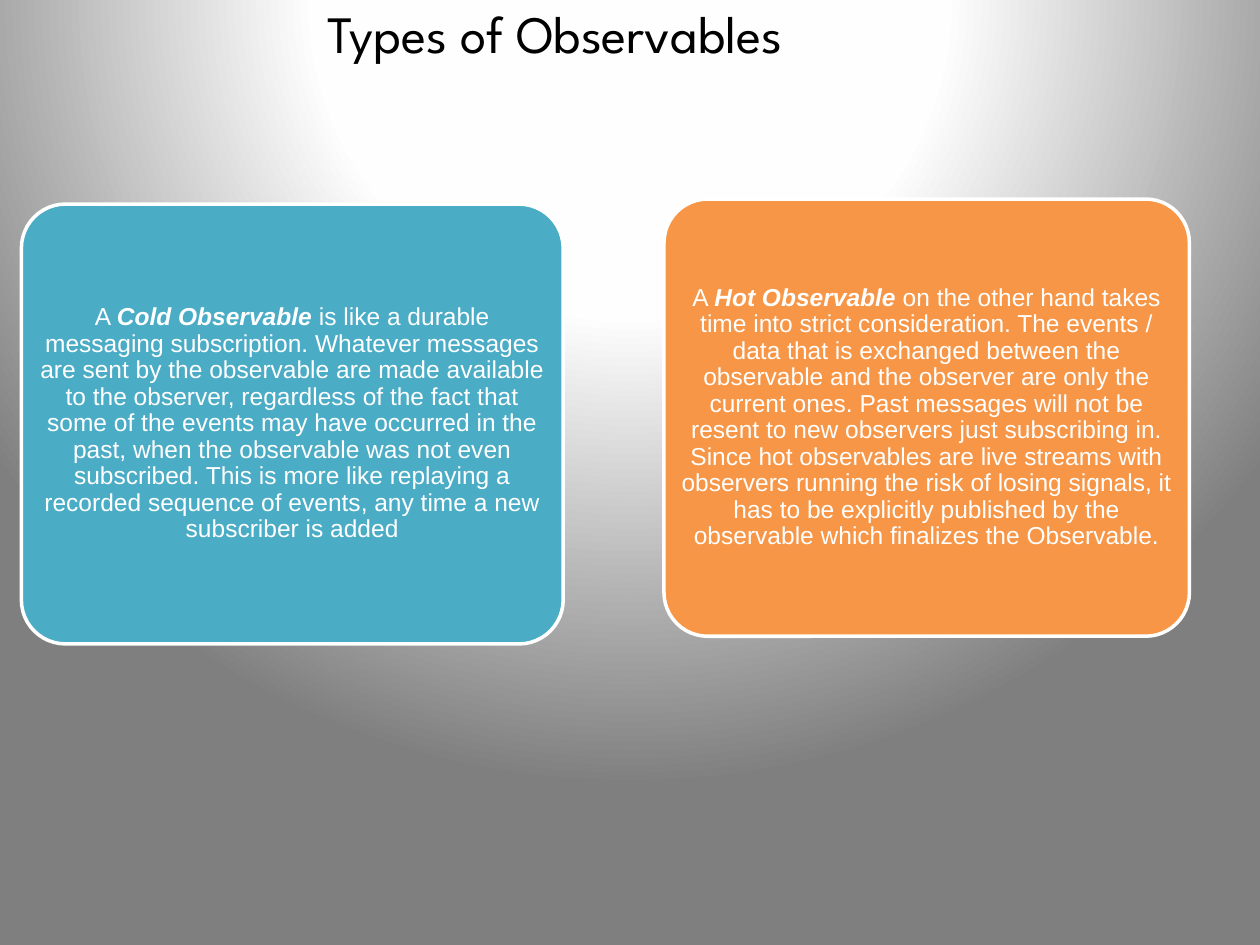
from pptx import Presentation
from pptx.dml.color import RGBColor
from pptx.enum.shapes import MSO_SHAPE
from pptx.enum.text import MSO_ANCHOR, PP_ALIGN
from pptx.oxml import parse_xml
from pptx.oxml.ns import nsdecls, qn
from pptx.util import Inches, Pt

ROUNDED = MSO_SHAPE.ROUNDED_RECTANGLE
MIDDLE = MSO_ANCHOR.MIDDLE
CENTER, LEFT = PP_ALIGN.CENTER, PP_ALIGN.LEFT

COLORS = {
    "black": "000000",
    "white": "FFFFFF",
    "cold": "4BACC6",
    "hot": "F79646",
}
GLOW_STOPS = [(0, "FFFFFF"), (40, "FEFEFE"), (100, "7F7F7F")]

COLD_TEXT = (
    "is like a durable messaging subscription. Whatever messages are sent by "
    "the observable are made available to the observer, regardless of the fact "
    "that some of the events may have occurred in the past, when the observable "
    "was not even subscribed. This is more like replaying a recorded sequence "
    "of events, any time a new subscriber is added"
)
HOT_TEXT = (
    "on the other hand takes time into strict consideration. The events / data "
    "that is exchanged between the observable and the observer are only the "
    "current ones. Past messages will not be resent to new observers just "
    "subscribing in. Since hot observables are live streams with observers "
    "running the risk of losing signals, it has to be explicitly published by "
    "the observable which finalizes the Observable."
)
CARDS = [
    ("Cold Observable ", COLD_TEXT, "cold", (0.17, 1.62, 4.3, 3.49)),
    ("Hot Observable ", HOT_TEXT, "hot", (5.27, 1.58, 4.17, 3.47)),
]


def color(name):
    return RGBColor.from_string(COLORS[name])


def set_font(font, name, size, color_name):
    font.name = name
    font.size = Pt(size)
    font.color.rgb = color(color_name)


def set_background(page):
    page.background.fill.solid()
    stops = "".join(
        f'<a:gs pos="{position * 1000}"><a:srgbClr val="{value}"/></a:gs>'
        for position, value in GLOW_STOPS
    )
    glow = parse_xml(
        f'<a:gradFill {nsdecls("a")} rotWithShape="1"><a:gsLst>{stops}</a:gsLst>'
        '<a:path path="circle">'
        '<a:fillToRect l="50000" t="-80000" r="50000" b="180000"/>'
        "</a:path></a:gradFill>"
    )
    properties = page.element.find(".//" + qn("p:bgPr"))
    properties.replace(properties.find(qn("a:solidFill")), glow)


def set_title(page, text):
    title = page.shapes.title
    title.left, title.top = Inches(2.5), Inches(0)
    title.width, title.height = Inches(7.5), Inches(0.52)
    frame = title.text_frame
    frame.text = text
    frame.vertical_anchor = MIDDLE
    para = frame.paragraphs[0]
    para.alignment = LEFT
    set_font(para.font, "League Spartan", 30, "black")


def add_card(page, term, description, fill, place):
    card = page.shapes.add_shape(ROUNDED, *map(Inches, place))
    card.adjustments[0] = 0.1
    card.shadow.inherit = False
    card.fill.solid()
    card.fill.fore_color.rgb = color(fill)
    card.line.color.rgb = color("white")
    card.line.width = Pt(2)

    frame = card.text_frame
    frame.word_wrap = True
    frame.vertical_anchor = MIDDLE
    frame.margin_left = frame.margin_right = Inches(0.03)
    frame.margin_top = frame.margin_bottom = Inches(0.02)
    para = frame.paragraphs[0]
    para.alignment = CENTER
    para.line_spacing = 0.9
    set_font(para.font, "Arial", 14, "white")
    for text, emphasized in [("A ", False), (term, True), (description, False)]:
        span = para.add_run()
        span.text = text
        span.font.bold = span.font.italic = emphasized


def main():
    deck = Presentation()
    deck.slide_width, deck.slide_height = Inches(10), Inches(7.5)
    page = deck.slides.add_slide(deck.slide_layouts[5])
    set_background(page)
    set_title(page, "Types of Observables")
    for card in CARDS:
        add_card(page, *card)
    deck.save("out.pptx")


if __name__ == "__main__":
    main()
